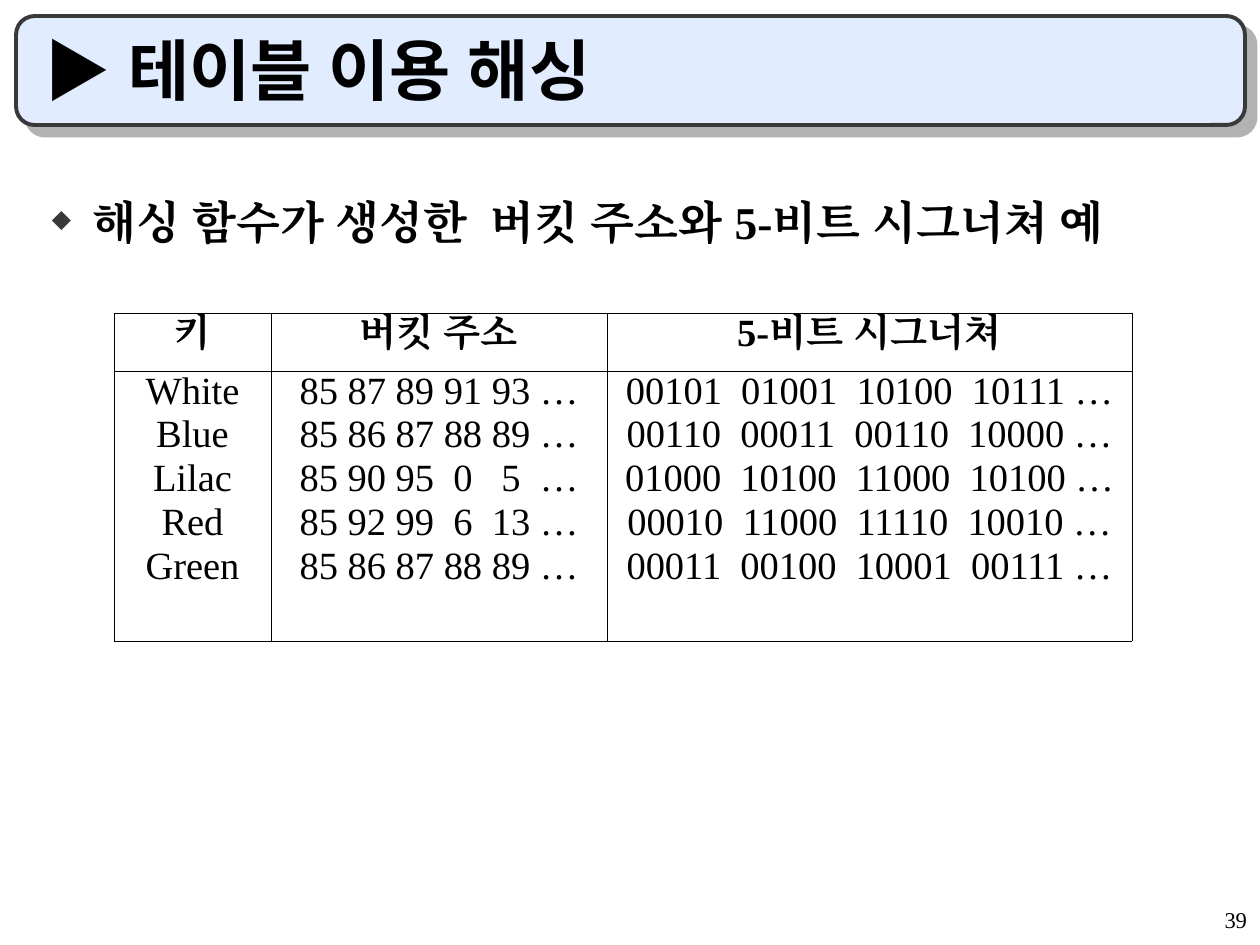
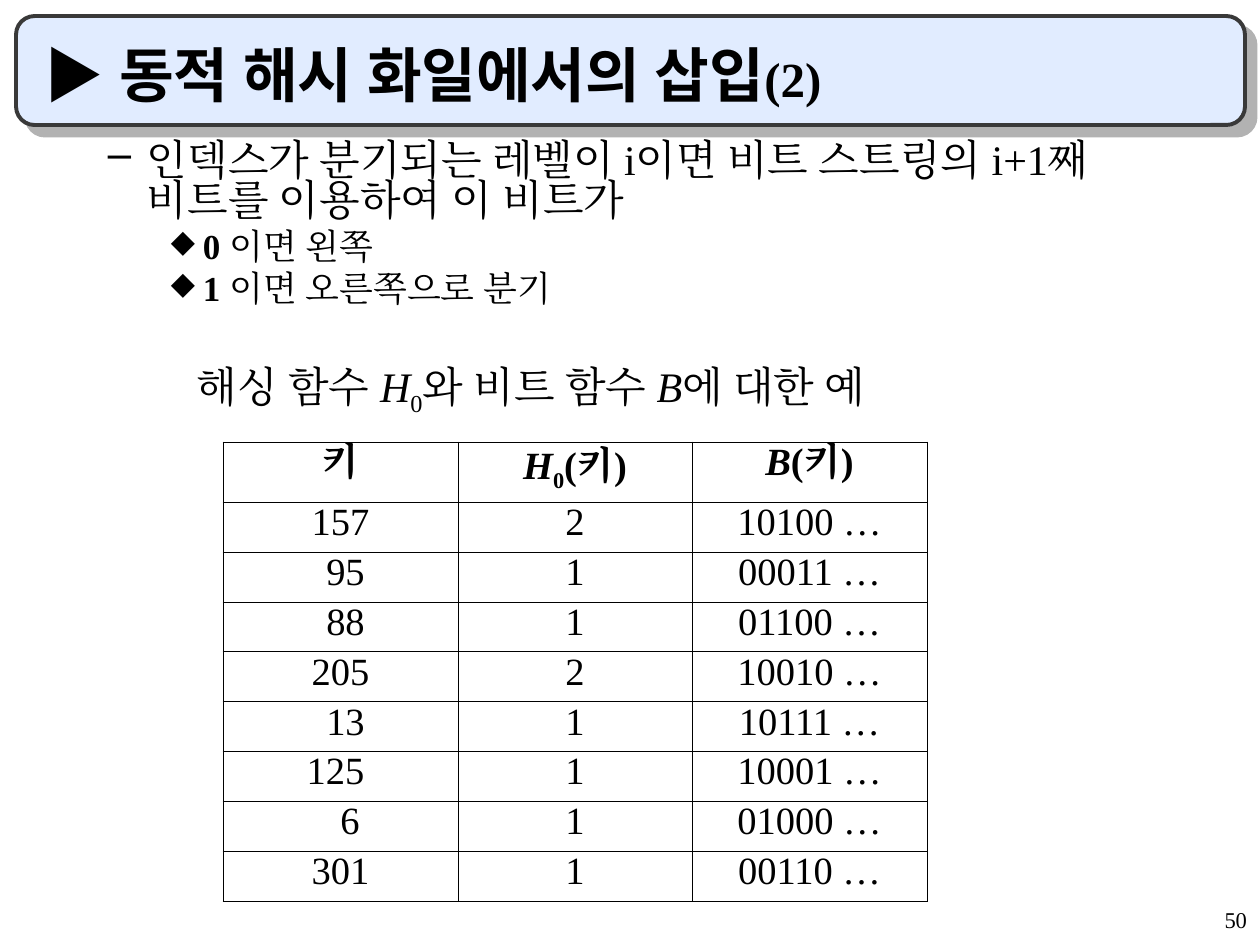
from lxml import etree
from pptx import Presentation
from pptx.dml.color import RGBColor
from pptx.enum.shapes import MSO_SHAPE
from pptx.enum.text import MSO_ANCHOR, PP_ALIGN
from pptx.oxml.ns import qn
from pptx.util import Pt

ROUNDED = MSO_SHAPE.ROUNDED_RECTANGLE
TOP, BOTTOM = MSO_ANCHOR.TOP, MSO_ANCHOR.BOTTOM
LEFT, CENTER, RIGHT = PP_ALIGN.LEFT, PP_ALIGN.CENTER, PP_ALIGN.RIGHT

# Shared look
PX_PER_INCH = 126
PAGE_WIDTH, PAGE_HEIGHT = 1260, 945
FONT = "Times New Roman"
BLACK = RGBColor(0x00, 0x00, 0x00)
BAND_FILL = RGBColor(0xE1, 0xEC, 0xFF)
DARK_GREY = RGBColor(0x39, 0x39, 0x39)
SHADOW_GREY = RGBColor(0xB2, 0xB2, 0xB2)
INSET_X, INSET_Y = 13, 6
TIGHT = 0.8
CELL_SIZE, CELL_GAP = 22, 5.5
ITALIC = {"italic": True}
BOLD = {"bold": True}
SUBSCRIPT = {"baseline": -25000}

# Bullets: character, colour, percent of text size, left margin and hang in px
DIAMOND = ("◆", DARK_GREY, 55, 48, 41)
DASH = ("–", BLACK, 100, 102, 39)
SMALL_DIAMOND = ("◆", BLACK, 90, 158, 32)


def emu(px):
    return round(px * 914400 / PX_PER_INCH)


def add_child(parent, tag, **attributes):
    child = etree.SubElement(parent, qn(tag))
    for name, value in attributes.items():
        child.set(name, str(value))
    return child


def set_bullet(para, bullet):
    character, color, percent, margin, hang = bullet
    props = para._p.get_or_add_pPr()
    props.set("marL", str(emu(margin)))
    props.set("indent", str(-emu(hang)))
    add_child(add_child(props, "a:buClr"), "a:srgbClr", val=color)
    add_child(props, "a:buSzPct", val=percent * 1000)
    add_child(props, "a:buChar", char=character)


def write_para(para, spans, size, bold=False, align=LEFT, spacing=1.0, before=0, bullet=None):
    """Fill a paragraph; spans is a string or a list of (text, style) pairs."""
    para.alignment = align
    para.line_spacing = spacing
    para.space_before = Pt(before)
    if bullet:
        set_bullet(para, bullet)
    para.font.name = FONT
    para.font.size = Pt(size)
    para.font.bold = bold
    para.font.color.rgb = BLACK
    # Korean text and its spaces take the same font
    add_child(para._p.pPr.find(qn("a:defRPr")), "a:ea", typeface=FONT)
    for text, style in [(spans, {})] if isinstance(spans, str) else spans:
        span = para.add_run()
        span.text = text
        if "size" in style:
            span.font.size = Pt(style["size"])
        if "bold" in style:
            span.font.bold = style["bold"]
        if "italic" in style:
            span.font.italic = style["italic"]
        if "baseline" in style:
            span._r.get_or_add_rPr().set("baseline", str(style["baseline"]))


def next_para(frame, index):
    return frame.paragraphs[0] if index == 0 else frame.add_paragraph()


def add_text(page, left, top, width, height, anchor=TOP):
    """Add a wrapping text box and return its text frame."""
    box = page.shapes.add_textbox(emu(left), emu(top), emu(width), emu(height))
    frame = box.text_frame
    frame.word_wrap = True
    frame.vertical_anchor = anchor
    frame.margin_left = frame.margin_right = emu(INSET_X)
    frame.margin_top = frame.margin_bottom = emu(INSET_Y)
    return frame


def add_band(page):
    band = page.shapes.add_shape(ROUNDED, emu(16), emu(16), emu(1229), emu(109))
    band.adjustments[0] = 0.17
    band.fill.solid()
    band.fill.fore_color.rgb = BAND_FILL
    band.line.color.rgb = DARK_GREY
    band.line.width = Pt(2.25)
    band.shadow.inherit = False
    effects = band._element.spPr.find(qn("a:effectLst"))
    shadow = add_child(effects, "a:outerShdw", blurRad=0, dist=Pt(8.5), dir=45 * 60000,
                       algn="ctr", rotWithShape=0)
    add_child(shadow, "a:srgbClr", val=SHADOW_GREY)


def add_page(deck, number, title, title_size):
    """Add a page with its title band, title and page number."""
    page = deck.slides.add_slide(deck.slide_layouts[6])
    add_band(page)
    number_frame = add_text(page, 998, 903, 262, 42)
    write_para(number_frame.paragraphs[0], str(number), 12.9, align=RIGHT, spacing=0.9)
    title_frame = add_text(page, 32, 31, 1187, 84, BOTTOM)
    write_para(title_frame.paragraphs[0], title, title_size, bold=True)
    return page


def set_borders(cell):
    props = cell._tc.get_or_add_tcPr()
    for index, side in enumerate(("a:lnL", "a:lnR", "a:lnT", "a:lnB")):
        line = add_child(props, side, w=Pt(0.45))
        add_child(add_child(line, "a:solidFill"), "a:srgbClr", val=BLACK)
        props.insert(index, line)


def add_grid(page, left, top, columns, heights, rows):
    """Add a ruled table; every cell is a list of centred paragraphs."""
    holder = page.shapes.add_table(len(heights), len(columns), emu(left), emu(top),
                                   emu(sum(columns)), emu(sum(heights)))
    table = holder.table
    table.first_row = table.horz_banding = False
    for column, width in zip(table.columns, columns):
        column.width = emu(width)
    for row, height in zip(table.rows, heights):
        row.height = emu(height)
    for row_index, row in enumerate(rows):
        for column_index, paras in enumerate(row):
            cell = table.cell(row_index, column_index)
            cell.margin_left = cell.margin_right = emu(INSET_X)
            cell.margin_top = cell.margin_bottom = emu(INSET_Y)
            cell.fill.background()
            set_borders(cell)
            for index, spans in enumerate(paras):
                write_para(next_para(cell.text_frame, index), spans, CELL_SIZE,
                           bold=row_index == 0, align=CENTER, spacing=TIGHT,
                           before=CELL_GAP if index else 0)
    return table


def build_table_hashing(deck):
    page = add_page(deck, 39, "▶ 테이블 이용 해싱", 38)
    body = add_text(page, 32, 199, 1187, 80)
    write_para(body.paragraphs[0], "해싱 함수가 생성한  버킷 주소와 5-비트 시그너쳐 예", 26,
               bold=True, spacing=TIGHT, bullet=DIAMOND)

    # Bucket addresses and signatures for each key
    records = [
        ("White", "85 87 89 91 93 …", "00101  01001  10100  10111 …"),
        ("Blue", "85 86 87 88 89 …", "00110  00011  00110  10000 …"),
        ("Lilac", "85 90 95  0   5  …", "01000  10100  11000  10100 …"),
        ("Red", "85 92 99  6  13 …", "00010  11000  11110  10010 …"),
        ("Green", "85 86 87 88 89 …", "00011  00100  10001  00111 …"),
    ]
    header = [["키"], ["버킷 주소"], ["5-비트 시그너쳐"]]
    add_grid(page, 114, 313, [157, 336, 525], [58, 270], [header, list(zip(*records))])


def build_dynamic_insertion(deck):
    page = add_page(deck, 50, [("▶ 동적 해시 화일에서의 삽입", {}), ("(2)", {"size": 28})], 34)

    # Branching rule
    body = add_text(page, 32, 137, 1187, 200)
    write_para(body.paragraphs[0],
               "인덱스가 분기되는 레벨이 i이면 비트 스트링의 i+1째 비트를 이용하여 이 비트가",
               24, spacing=TIGHT, bullet=DASH)
    for bit, direction in (("0 ", "이면 왼쪽"), ("1 ", "이면 오른쪽으로 분기")):
        write_para(body.add_paragraph(), [(bit, BOLD), (direction, {})], 20,
                   spacing=TIGHT, before=5, bullet=SMALL_DIAMOND)

    # Hash values and bit strings for each key
    records = [
        ("157", "2", "10100 …"), ("95", "1", "00011 …"), ("88", "1", "01100 …"),
        ("205", "2", "10010 …"), ("13", "1", "10111 …"), ("125", "1", "10001 …"),
        ("6", "1", "01000 …"), ("301", "1", "00110 …"),
    ]
    header = [["키"], [[("H", ITALIC), ("0", SUBSCRIPT), ("(키)", {})]],
              [[("B", ITALIC), ("(키)", {})]]]
    rows = [header] + [[[value] for value in record] for record in records]
    table = add_grid(page, 223, 442, [235, 234, 235], [60] + [50] * len(records), rows)

    # Nudge keys sideways so that their digits line up
    key_shifts = {"95": 10, "88": 10, "13": 10, "125": -10, "6": 19}
    for index, (key, *_) in enumerate(records, start=1):
        table.cell(index, 0).margin_left = emu(INSET_X + key_shifts.get(key, 0))

    caption = add_text(page, 184, 354, 745, 71)
    write_para(caption.paragraphs[0],
               [("해싱 함수 ", {}), ("H", ITALIC), ("0", SUBSCRIPT),
                ("와 비트 함수 ", {}), ("B", ITALIC), ("에 대한 예", {})], 24)


def main():
    deck = Presentation()
    deck.slide_width, deck.slide_height = emu(PAGE_WIDTH), emu(PAGE_HEIGHT)
    build_table_hashing(deck)
    build_dynamic_insertion(deck)
    deck.save("out.pptx")


if __name__ == "__main__":
    main()
